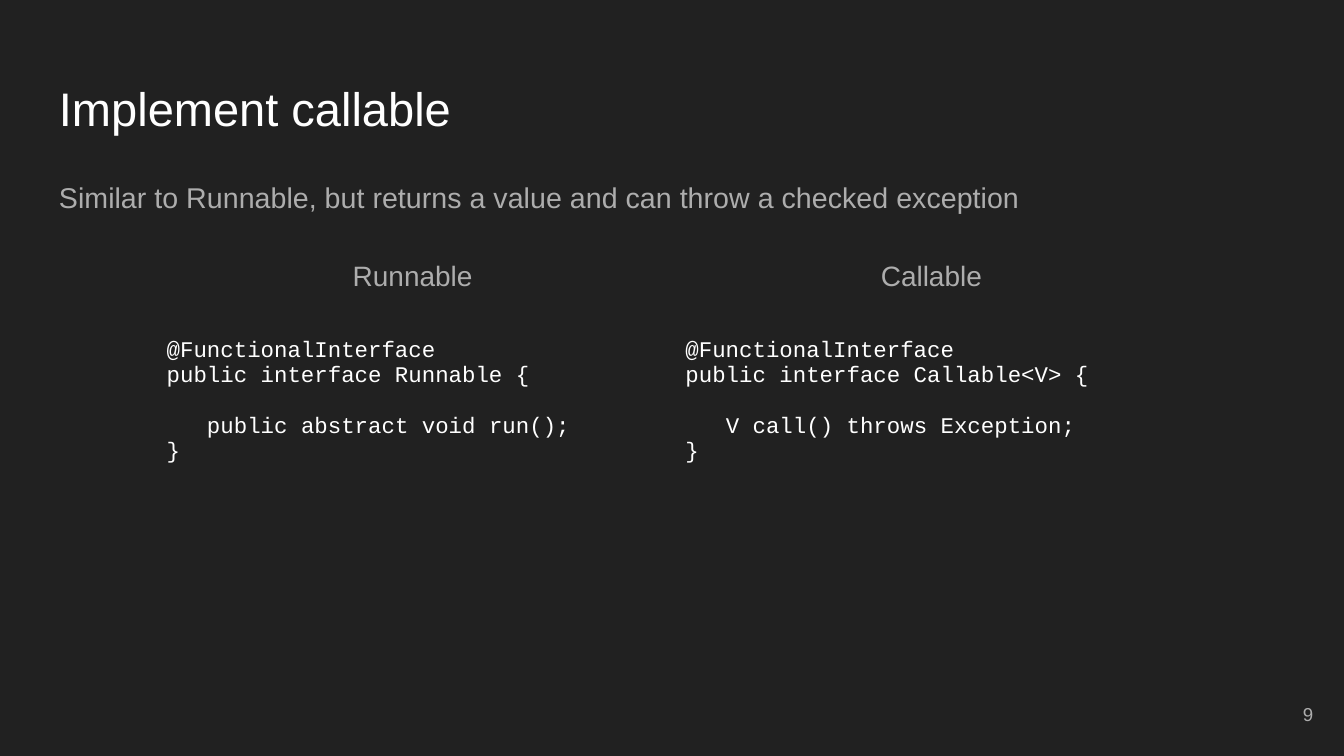
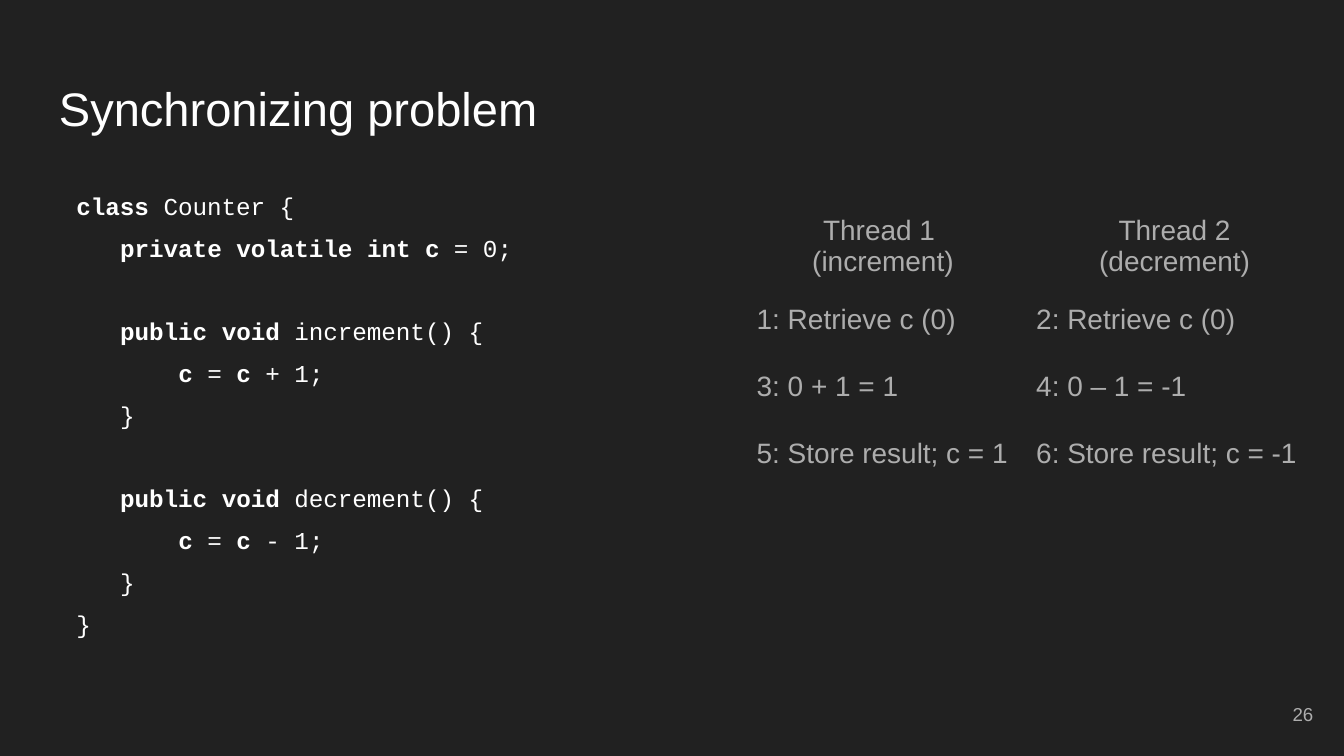
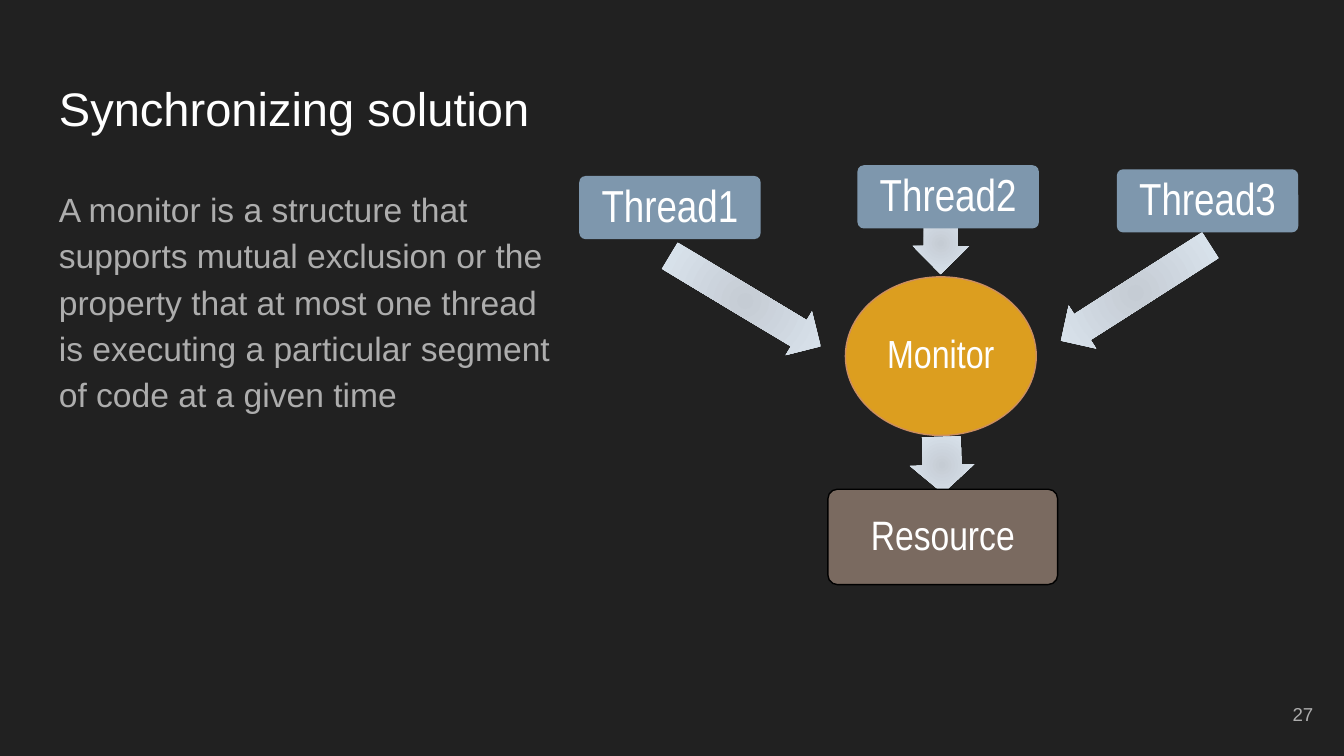
import pptx
import pptx.util
import pptx.dml.color
import pptx.enum.shapes
import pptx.enum.text
import pptx.oxml
import pptx.oxml.ns

Inches = pptx.util.Inches
Pt = pptx.util.Pt
RGBColor = pptx.dml.color.RGBColor
Align = pptx.enum.text.PP_ALIGN
Anchor = pptx.enum.text.MSO_ANCHOR
Shape = pptx.enum.shapes.MSO_SHAPE

DARK = RGBColor(0x21, 0x21, 0x21)
WHITE = RGBColor(0xFF, 0xFF, 0xFF)
GREY = RGBColor(0xAD, 0xAD, 0xAD)
BLUE = RGBColor(0x7E, 0x97, 0xAD)
GOLD = RGBColor(0xDC, 0x9E, 0x1F)
COPPER = RGBColor(0xCC, 0x8E, 0x60)
BROWN = RGBColor(0x7A, 0x6A, 0x60)
BLACK = RGBColor(0x00, 0x00, 0x00)
STEEL = RGBColor(0xC5, 0xCC, 0xD4)
MIST = RGBColor(0xDD, 0xE7, 0xF1)

SANS, NARROW, MONO = "Arial", "Arial Narrow", "Courier New"
PLAIN_GRID = "{2D5ABB26-0587-4C30-8999-92F81FD0307C}"
LEFT, WIDE = 0.34, 9.32

# Code lines: indent in characters, blank lines above, text.
# On the second slide the pieces of text alternate bold and regular.
RUN_CODE = [
    (0, 0, "@FunctionalInterface"),
    (0, 0, "public interface Runnable {"),
    (3, 1, "public abstract void run();"),
    (0, 0, "}"),
]
CALL_CODE = [
    (0, 0, "@FunctionalInterface"),
    (0, 0, "public interface Callable<V> {"),
    (3, 1, "V call() throws Exception;"),
    (0, 0, "}"),
]
COUNT_CODE = [
    (0, 0, "class ", "Counter {"),
    (3, 0, "private volatile int c ", "= 0;"),
    (3, 1, "public void ", "increment() {"),
    (7, 0, "c ", "= ", "c ", "+ 1;"),
    (3, 0, "", "}"),
    (3, 1, "public void ", "decrement() {"),
    (7, 0, "c ", "= ", "c ", "- 1;"),
    (3, 0, "", "}"),
    (0, 0, "", "}"),
]
STEPS = [
    ("Thread 1 \n(increment)", "Thread 2\n(decrement)"),
    ("1: Retrieve c (0)", "2: Retrieve c (0)"),
    ("3: 0 + 1 = 1", "4: 0 – 1 = -1"),
    ("5: Store result; c = 1", "6: Store result; c = -1"),
]


def style(run, size, color, face, bold=False):
    run.font.size = Pt(size)
    run.font.color.rgb = color
    run.font.name = face
    run.font.bold = bold


def write(frame, text, size, color=GREY, face=SANS, align=Align.LEFT, space=None):
    frame.text = text
    for para in frame.paragraphs:
        para.alignment = align
        if space:
            para.line_spacing = space
        for run in para.runs:
            style(run, size, color, face)


def add_text(slide, box, text, size, anchor=Anchor.TOP, **looks):
    frame = slide.shapes.add_textbox(*map(Inches, box)).text_frame
    frame.word_wrap = True
    frame.vertical_anchor = anchor
    frame.margin_left = frame.margin_right = Inches(0.1)
    frame.margin_top = frame.margin_bottom = Inches(0.1)
    write(frame, text, size, **looks)
    return frame


def write_code(frame, lines, size, start=0, before=0):
    """Fill a frame with code; blank lines become space above the next line."""
    pitch = size * 1.13 + before
    for i, (chars, blanks, *parts) in enumerate(lines):
        para = frame.paragraphs[0] if i == 0 else frame.add_paragraph()
        para.space_before = Pt(before + blanks * pitch)
        indent = Inches(start + chars * 0.6 * size / 72)
        props = para._p.get_or_add_pPr()
        props.set("marL", str(indent))
        props.set("indent", "0")
        for j, part in enumerate(parts):
            if part:
                run = para.add_run()
                run.text = part
                bold = len(parts) > 1 and j % 2 == 0
                style(run, size, WHITE, MONO, bold)


def add_grid(slide, left, top, cols, rows):
    """Add a table without fills or borders."""
    frame = slide.shapes.add_table(
        len(rows), len(cols), Inches(left), Inches(top),
        Inches(sum(cols)), Inches(sum(rows)))
    grid = frame.table
    grid.first_row = grid.horz_banding = False
    grid._tbl.tblPr.find(pptx.oxml.ns.qn("a:tableStyleId")).text = PLAIN_GRID
    for col, width in zip(grid.columns, cols):
        col.width = Inches(width)
    for row, height in zip(grid.rows, rows):
        row.height = Inches(height)
    for cell in grid.iter_cells():
        cell.fill.background()
    return grid


def add_shape(slide, kind, box):
    shape = slide.shapes.add_shape(kind, *map(Inches, box))
    shape.shadow.inherit = False
    shape.line.fill.background()
    return shape


def add_node(slide, kind, box, text, size, fill, edge=None):
    node = add_shape(slide, kind, box)
    node.fill.solid()
    node.fill.fore_color.rgb = fill
    if edge is not None:
        node.line.color.rgb = edge
        node.line.width = Pt(0.75)
    if kind == Shape.ROUNDED_RECTANGLE:
        node.adjustments[0] = 0.1
    frame = node.text_frame
    frame.vertical_anchor = Anchor.MIDDLE
    frame.margin_left = frame.margin_right = Inches(0.02)
    frame.margin_top = frame.margin_bottom = Inches(0.02)
    write(frame, text, size, WHITE, NARROW, Align.CENTER, 0.9)


def add_arrow(slide, box, turn):
    """Add a block arrow with a round gradient."""
    arrow = add_shape(slide, Shape.LEFT_ARROW, box)
    arrow.rotation = turn
    arrow.adjustments[0], arrow.adjustments[1] = 0.6, 0.5
    arrow.fill.gradient()
    for stop, color in zip(arrow.fill.gradient_stops, (STEEL, MIST)):
        stop.color.rgb = color
    qn = pptx.oxml.ns.qn
    grad = arrow._element.spPr.find(qn("a:gradFill"))
    grad.replace(grad.find(qn("a:lin")), pptx.oxml.parse_xml(
        f'<a:path {pptx.oxml.ns.nsdecls("a")} path="circle">'
        '<a:fillToRect l="50000" t="50000" r="50000" b="50000"/></a:path>'))


def add_slide(deck, title, number):
    slide = deck.slides.add_slide(deck.slide_layouts[6])
    slide.background.fill.solid()
    slide.background.fill.fore_color.rgb = DARK
    add_text(slide, (LEFT, 0.49, WIDE, 0.63), title, 25.2, color=WHITE)
    add_text(slide, (9.27, 5.1, 0.6, 0.43), str(number), 10,
             Anchor.MIDDLE, align=Align.RIGHT)
    return slide


def show_call(deck):
    slide = add_slide(deck, "Implement callable", 9)
    add_text(slide, (LEFT, 1.26, WIDE, 0.63),
             "Similar to Runnable, but returns a value and can throw a checked exception",
             15.3, space=0.95)
    grid = add_grid(slide, 1.14, 1.89, (3.86, 3.86), (0.58, 2.14))
    for i, (name, code) in enumerate((("Runnable", RUN_CODE), ("Callable", CALL_CODE))):
        write(grid.cell(0, i).text_frame, name, 15, align=Align.CENTER)
        write_code(grid.cell(1, i).text_frame, code, 12)


def show_issue(deck):
    slide = add_slide(deck, "Synchronizing problem", 26)
    frame = add_text(slide, (0.39, 1.32, 3.98, 3.41), "", 13)
    write_code(frame, COUNT_CODE, 13, start=0.08, before=7)
    grid = add_grid(slide, 5.53, 1.55, (2.08, 2.26), (0.66, 0.5, 0.5, 0.87))
    for i, row in enumerate(STEPS):
        for j, text in enumerate(row):
            cell = grid.cell(i, j)
            cell.margin_right = Inches(0.1 if i == 0 else 0.05)
            align = Align.LEFT if i else Align.CENTER
            write(cell.text_frame, text, 15, align=align)


def show_fix(deck):
    slide = add_slide(deck, "Synchronizing solution", 27)
    add_node(slide, Shape.OVAL, (6.29, 2.06, 1.42, 1.18), "Monitor", 21, GOLD, COPPER)
    for box, turn in (
        ((4.89, 2.05, 1.31, 0.38), 211),
        ((6.77, 1.6, 0.46, 0.42), 270.4),
        ((7.79, 1.99, 1.32, 0.38), 327.4),
        ((6.8, 3.22, 0.42, 0.48), 268.4),
    ):
        add_arrow(slide, box, turn)
    for i, (left, top) in enumerate(((4.31, 1.31), (6.38, 1.23), (8.31, 1.26)), 1):
        add_node(slide, Shape.ROUNDED_RECTANGLE, (left, top, 1.35, 0.47),
                 f"Thread{i}", 24, BLUE)
    add_node(slide, Shape.ROUNDED_RECTANGLE, (6.16, 3.64, 1.71, 0.71),
             "Resource", 22, BROWN, BLACK)
    add_text(slide, (LEFT, 1.26, 3.93, 3.74),
             "A monitor is a structure that supports mutual exclusion or the property "
             "that at most one thread is executing a particular segment of code "
             "at a given time", 18, space=1.15)


def main():
    deck = pptx.Presentation()
    deck.slide_width = Inches(10)
    deck.slide_height = Inches(10 * 9 / 16)
    show_call(deck)
    show_issue(deck)
    show_fix(deck)
    deck.save("out.pptx")


if __name__ == "__main__":
    main()
